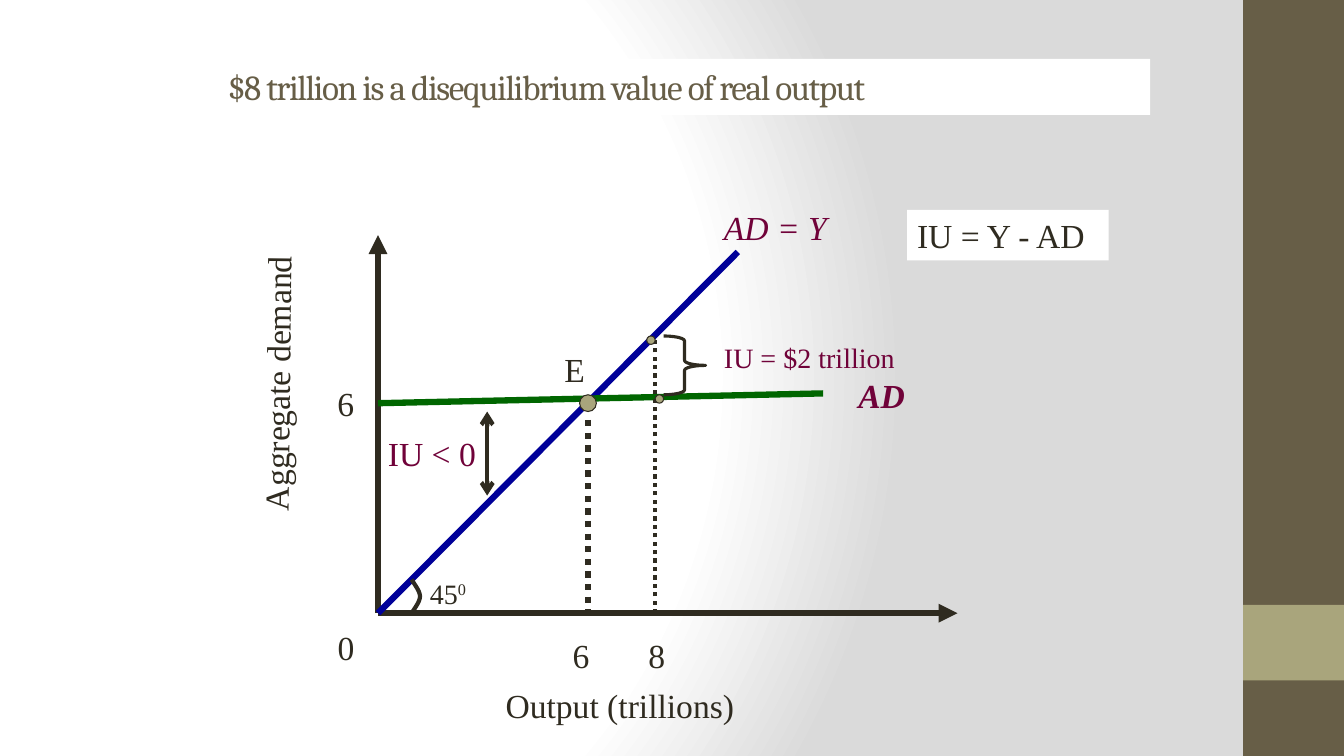
"""Build the aggregate demand diagram slide showing disequilibrium output."""
from lxml import etree
from pptx import Presentation
from pptx import oxml
from pptx.dml.color import RGBColor
from pptx.enum import dml, shapes, text
from pptx.oxml import ns
from pptx.util import Pt

INK = RGBColor(0x2F, 0x2B, 0x20)
BROWN = RGBColor(0x67, 0x5E, 0x47)
SAGE = RGBColor(0xA9, 0xA5, 0x7C)
WHITE = RGBColor(0xFF, 0xFF, 0xFF)
NAVY = RGBColor(0x00, 0x00, 0x99)
GREEN = RGBColor(0x00, 0x66, 0x00)
WINE = RGBColor(0x70, 0x02, 0x39)

TITLE = "$8 trillion is a disequilibrium value of real output"
BACKGROUND = f"""<p:bg {ns.nsdecls("p", "a")}><p:bgPr><a:gradFill rotWithShape="1"><a:gsLst>
<a:gs pos="0"><a:srgbClr val="FFFFFF"/></a:gs><a:gs pos="75000"><a:srgbClr val="FFFFFF"/></a:gs>
<a:gs pos="100000"><a:srgbClr val="DADADA"/></a:gs></a:gsLst><a:path path="circle">
<a:fillToRect l="20000" t="50000" r="100000" b="50000"/></a:path></a:gradFill>
<a:effectLst/></p:bgPr></p:bg>"""

BANDS = [(0, 540, BROWN), (432, 54, SAGE)]

X0, Y0 = 270, 438
X_E, X_8 = 420, 468
DOT = dml.MSO_LINE.ROUND_DOT
# start, end, colour, width, dash, head, tail
LINES = [
    ((X0, Y0), (X0, 168), INK, 4.5, None, None, "triangle"),
    ((X0, Y0), (684, Y0), INK, 4.5, None, None, "triangle"),
    ((X0, Y0), (527, 180), NAVY, 4.5, None, None, None),
    ((X0, 288), (588, 281), GREEN, 4.5, None, None, None),
    ((X_E, 300), (X_E, Y0), INK, 4.5, DOT, None, None),
    ((348, 294), (348, 354), INK, 3, None, "arrow", "arrow"),
    ((X_8, Y0), (X_8, 240), INK, 3, DOT, None, None),
]
# left, top, diameter
POINTS = [(414, 282, 12), (462, 240, 6), (468, 282, 6)]
# text, left, top, width, size, colour, bold, italic
LABELS = [
    ("Output (trillions)", 354, 486, 234, 24, INK, False, False),
    ("Aggregate demand", 72, 228, 252, 24, INK, False, False),
    ("0", 234, 444, 48, 24, INK, False, False),
    ("45", 300, 408, 48, 20, INK, False, False),
    ("AD = Y", 510, 144, 126, 24, WINE, False, True),
    ("AD", 606, 264, 126, 24, WINE, True, True),
    ("6", 402, 450, 42, 24, INK, False, False),
    ("6", 234, 270, 42, 24, INK, False, False),
    ("8", 456, 450, 42, 24, INK, False, False),
    ("IU = $2 trillion", 510, 240, 156, 20, WINE, False, False),
    ("IU < 0", 270, 306, 84, 24, WINE, False, False),
    ("E", 396, 246, 36, 24, INK, False, False),
    ("IU = Y - AD", 648, 150, 144, 24, INK, False, False),
]
ARC = [(294, 414), (302, 426), (302, 426), (294, 438)]


def add_shape(s, kind, left, top, width, height, fill=None, line=None, weight=0.75):
    """Add a flat preset shape."""
    sp = s.shapes.add_shape(kind, Pt(left), Pt(top), Pt(width), Pt(height))
    finish(sp, fill, line, weight)
    return sp


def finish(sp, fill, line, weight):
    """Set fill and outline and drop the shadow."""
    sp.shadow.inherit = False
    if fill is None:
        sp.fill.background()
    else:
        sp.fill.solid()
        sp.fill.fore_color.rgb = fill
    if line is None:
        sp.line.fill.background()
    else:
        sp.line.color.rgb = line
        sp.line.width = Pt(weight)


def add_line(s, start, end, color, weight, dash, head, tail):
    """Add a straight line with optional dash and arrowheads."""
    c = s.shapes.add_connector(shapes.MSO_CONNECTOR.STRAIGHT, *map(Pt, start + end))
    c.line.color.rgb = color
    c.line.width = Pt(weight)
    if dash:
        c.line.dash_style = dash
    ln = c.line._get_or_add_ln()
    for tag, kind in (("a:headEnd", head), ("a:tailEnd", tail)):
        if kind:
            etree.SubElement(ln, ns.qn(tag), type=kind)
    etree.SubElement(c._element.spPr, ns.qn("a:effectLst"))


def add_label(s, words, left, top, width, size, color, bold, italic):
    """Add a one-line text box and return it."""
    sp = s.shapes.add_textbox(Pt(left), Pt(top), Pt(width), Pt(36 if size == 24 else 31))
    tf = sp.text_frame
    tf.word_wrap = True
    p = tf.paragraphs[0]
    p.text = words
    f = p.font
    f.name, f.size, f.bold, f.italic = "Times New Roman", Pt(size), bold, italic
    f.color.rgb = color
    return sp


def add_arc(s):
    """Draw the angle mark through points of its cubic curve."""
    steps = 16
    pts = []
    for i in range(steps + 1):
        t = i / steps
        weights = ((1 - t) ** 3, 3 * t * (1 - t) ** 2, 3 * t * t * (1 - t), t ** 3)
        pts.append(tuple(Pt(sum(w * q[k] for w, q in zip(weights, ARC))) for k in (0, 1)))
    builder = s.shapes.build_freeform(*pts[0])
    builder.add_line_segments(pts[1:], close=False)
    finish(builder.convert_to_shape(), None, INK, 3)


def add_title(s):
    """Format the title placeholder."""
    sp = s.shapes.title
    sp.left, sp.top, sp.width, sp.height = Pt(155.5), Pt(42), Pt(666), Pt(40)
    sp.fill.solid()
    sp.fill.fore_color.rgb = WHITE
    tf = sp.text_frame
    tf.auto_size = text.MSO_AUTO_SIZE.NONE
    tf.vertical_anchor = text.MSO_ANCHOR.MIDDLE
    p = tf.paragraphs[0]
    p.alignment = text.PP_ALIGN.LEFT
    r = p.add_run()
    r.text = TITLE
    r.font.name, r.font.size = "Cambria", Pt(25.2)
    r.font.color.rgb = BROWN
    r._r.get_or_add_rPr().set("spc", "-100")


def main():
    """Assemble and save the slide."""
    prs = Presentation()
    prs.slide_width, prs.slide_height = Pt(960), Pt(540)
    s = prs.slides.add_slide(prs.slide_layouts[5])
    s._element.cSld.insert(0, oxml.parse_xml(BACKGROUND))
    kinds = shapes.MSO_SHAPE
    for top, height, color in BANDS:
        add_shape(s, kinds.RECTANGLE, 888, top, 72, height, color)
    add_title(s)
    for line in LINES:
        add_line(s, *line)
    add_arc(s)
    for left, top, size in POINTS:
        add_shape(s, kinds.OVAL, left, top, size, size, SAGE, INK)
    brace = add_shape(s, kinds.RIGHT_BRACE, 474, 240, 30, 42, None, INK, 2.25)
    brace.adjustments[0] = 0.117
    labels = {label[0]: add_label(s, *label) for label in LABELS}
    labels["Aggregate demand"].rotation = 270.7
    box = labels["IU = Y - AD"]
    box.fill.solid()
    box.fill.fore_color.rgb = WHITE
    r = labels["45"].text_frame.paragraphs[0].add_run()
    r.text = "0"
    r._r.get_or_add_rPr().set("baseline", "30000")
    prs.save("out.pptx")


if __name__ == "__main__":
    main()
